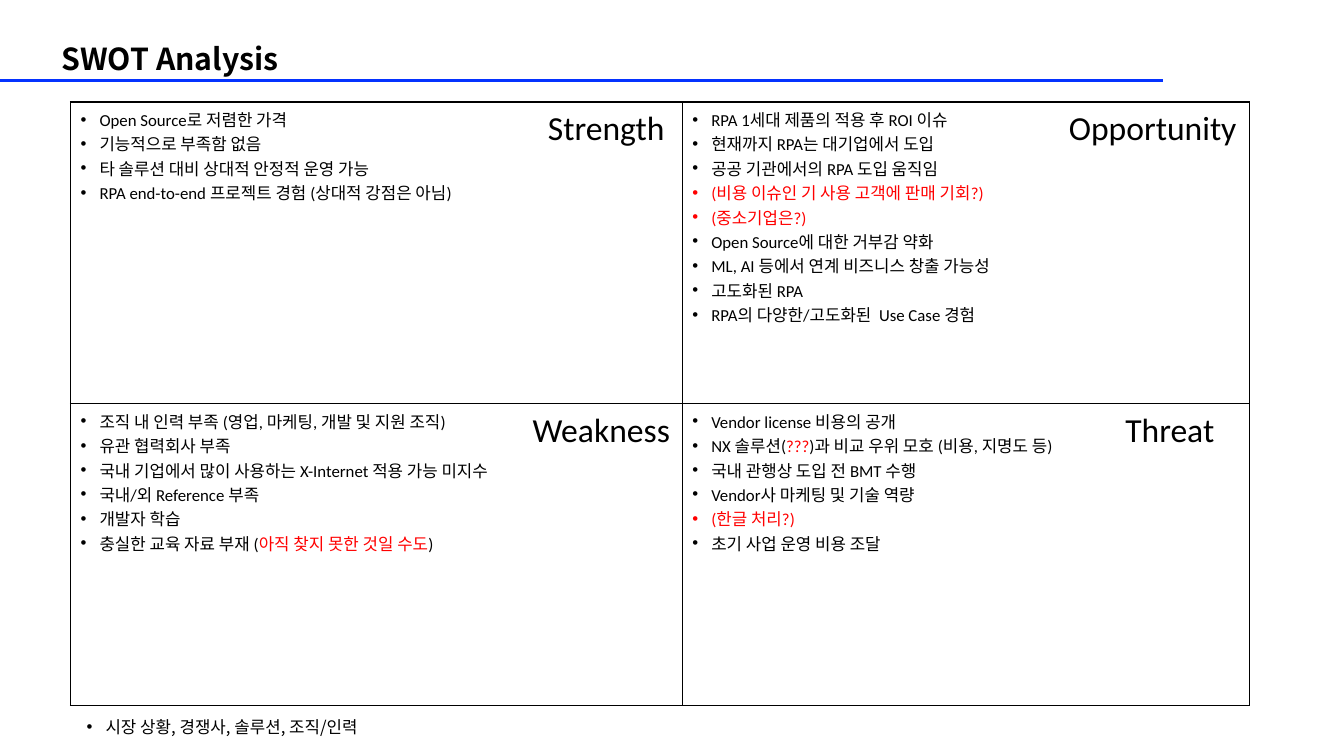
from dataclasses import dataclass
from typing import Any

import pptx
import pptx.dml.color
import pptx.enum.shapes
import pptx.enum.text
import pptx.oxml
import pptx.oxml.ns
import pptx.util
from lxml import etree

Pt = pptx.util.Pt
qn = pptx.oxml.ns.qn
ALIGN = pptx.enum.text.PP_ALIGN
ANCHOR = pptx.enum.text.MSO_ANCHOR

BLACK = pptx.dml.color.RGBColor(0x00, 0x00, 0x00)
RED = pptx.dml.color.RGBColor(0xFF, 0x00, 0x00)
BLUE = pptx.dml.color.RGBColor(0x04, 0x32, 0xFF)
LATIN, HANGUL = "Calibri", "Noto Sans CJK KR"

TITLE_FONT = {"name": HANGUL, "size": Pt(21.6), "bold": True}
LIST_FONT = {"name": LATIN, "size": Pt(12), "bold": False}
NOTE_FONT = {"name": HANGUL, "size": Pt(12), "bold": False}
HEADING_FONT = {"name": LATIN, "size": Pt(24), "bold": False}

TABLE_LEFT, TABLE_TOP = 50.4, 72.9
COL_WIDTHS = (437, 405.4)
ROW_HEIGHT = 215.5
INDENT = 13.5


@dataclass
class Quadrant:
    row: int
    col: int
    heading: str
    left: float  # heading box
    width: float
    items: list[str]  # text between asterisks is red


QUADRANTS = [
    Quadrant(0, 0, "Strength", 379.4, 107.3, [
        "Open Source로 저렴한 가격",
        "기능적으로 부족함 없음",
        "타 솔루션 대비 상대적 안정적 운영 가능",
        "RPA end-to-end 프로젝트 경험 (상대적 강점은 아님)",
    ]),
    Quadrant(0, 1, "Opportunity", 754.6, 137.5, [
        "RPA 1세대 제품의 적용 후 ROI 이슈",
        "현재까지 RPA는 대기업에서 도입",
        "공공 기관에서의 RPA 도입 움직임",
        "*(비용 이슈인 기 사용 고객에 판매 기회?)*",
        "*(중소기업은?)*",
        "Open Source에 대한 거부감 약화",
        "ML, AI 등에서 연계 비즈니스 창출 가능성",
        "고도화된 RPA",
        "RPA의 다양한/고도화된  Use Case 경험",
    ]),
    Quadrant(1, 0, "Weakness", 371.5, 115.9, [
        "조직 내 인력 부족 (영업, 마케팅, 개발 및 지원 조직)",
        "유관 협력회사 부족",
        "국내 기업에서 많이 사용하는 X-Internet 적용 가능 미지수",
        "국내/외 Reference 부족",
        "개발자 학습",
        "충실한 교육 자료 부재 (*아직 찾지 못한 것일 수도*)",
    ]),
    Quadrant(1, 1, "Threat", 777.6, 115.9, [
        "Vendor license 비용의 공개",
        "NX 솔루션(*???*)과 비교 우위 모호 (비용, 지명도 등)",
        "국내 관행상 도입 전 BMT 수행",
        "Vendor사 마케팅 및 기술 역량",
        "*(한글 처리?)*",
        "초기 사업 운영 비용 조달",
    ]),
]


def set_attrs(obj: Any, values: dict[str, Any]) -> None:
    for name, value in values.items():
        setattr(obj, name, value)


def place(sp: Any, left: float, top: float, width: float, height: float) -> None:
    set_attrs(sp, {"left": Pt(left), "top": Pt(top),
                   "width": Pt(width), "height": Pt(height)})


def add_runs(p: Any, text: str, font: dict[str, Any]) -> None:
    for i, part in enumerate(text.split("*")):
        if part:
            r = p.add_run()
            r.text = part
            set_attrs(r.font, font)
            r.font.color.rgb = RED if i % 2 else BLACK
            ea = etree.SubElement(r._r.get_or_add_rPr(), qn("a:ea"))
            ea.set("typeface", HANGUL)


def add_bullets(tf: Any, items: list[str], font: dict[str, Any]) -> None:
    for i, item in enumerate(items):
        p = tf.add_paragraph() if i else tf.paragraphs[0]
        set_attrs(p, {"alignment": ALIGN.LEFT, "space_before": Pt(0)})
        pPr = p._p.get_or_add_pPr()
        pPr.set("marL", str(Pt(INDENT)))
        pPr.set("indent", str(-Pt(INDENT)))
        etree.SubElement(pPr, qn("a:buFont")).set("typeface", "Arial")
        etree.SubElement(pPr, qn("a:buChar")).set("char", "•")
        add_runs(p, item, font)


def add_borders(cell: Any) -> None:
    tcPr = cell._tc.get_or_add_tcPr()
    for i, side in enumerate(("lnL", "lnR", "lnT", "lnB")):
        ln = etree.Element(qn("a:" + side), w=str(Pt(1)))
        fill = etree.SubElement(ln, qn("a:solidFill"))
        etree.SubElement(fill, qn("a:srgbClr")).set("val", str(BLACK))
        tcPr.insert(i, ln)


def add_heading(s: Any, q: Quadrant) -> None:
    sp = s.shapes.add_textbox(Pt(q.left), Pt(TABLE_TOP + q.row * ROW_HEIGHT),
                              Pt(q.width), Pt(36))
    tf = sp.text_frame
    tf.word_wrap = True
    tf.paragraphs[0].alignment = ALIGN.CENTER
    add_runs(tf.paragraphs[0], q.heading, HEADING_FONT)


prs = pptx.Presentation()
set_attrs(prs, {"slide_width": Pt(960), "slide_height": Pt(540)})
s = prs.slides.add_slide(prs.slide_layouts[1])

# Title and rule
title = s.shapes.title
place(title, 36.7, 28.8, 874, 28.8)
set_attrs(title.text_frame, {"vertical_anchor": ANCHOR.MIDDLE, "word_wrap": True,
                             "auto_size": pptx.enum.text.MSO_AUTO_SIZE.NONE})
p = title.text_frame.paragraphs[0]
set_attrs(p, {"alignment": ALIGN.LEFT, "line_spacing": 0.9})
add_runs(p, "SWOT Analysis", TITLE_FONT)

rule = s.shapes.add_connector(pptx.enum.shapes.MSO_CONNECTOR.STRAIGHT,
                              Pt(0), Pt(57.6), Pt(831), Pt(57.6))
rule.line.color.rgb = BLUE
rule.line.width = Pt(2)
etree.SubElement(rule._element.spPr, qn("a:effectLst"))

# SWOT table
table = s.shapes.add_table(2, 2, Pt(TABLE_LEFT), Pt(TABLE_TOP),
                           Pt(sum(COL_WIDTHS)), Pt(2 * ROW_HEIGHT)).table
set_attrs(table, {"first_row": False, "horz_banding": False})
for col, width in zip(table.columns, COL_WIDTHS):
    col.width = Pt(width)
for row in table.rows:
    row.height = Pt(ROW_HEIGHT)
for q in QUADRANTS:
    cell = table.cell(q.row, q.col)
    cell.fill.background()
    add_borders(cell)
    add_bullets(cell.text_frame, q.items, LIST_FONT)

# Quadrant headings
for q in QUADRANTS:
    add_heading(s, q)

# Note below the table
note = s.placeholders[1]
place(note, 54.7, 508.3, 227.5, 21.6)
tf = note.text_frame
set_attrs(tf, {"word_wrap": True, "vertical_anchor": ANCHOR.TOP,
               "auto_size": pptx.enum.text.MSO_AUTO_SIZE.NONE})
add_bullets(tf, ["시장 상황, 경쟁사, 솔루션, 조직/인력"], NOTE_FONT)
tf.paragraphs[0].line_spacing = Pt(14.4)

prs.save("out.pptx")
